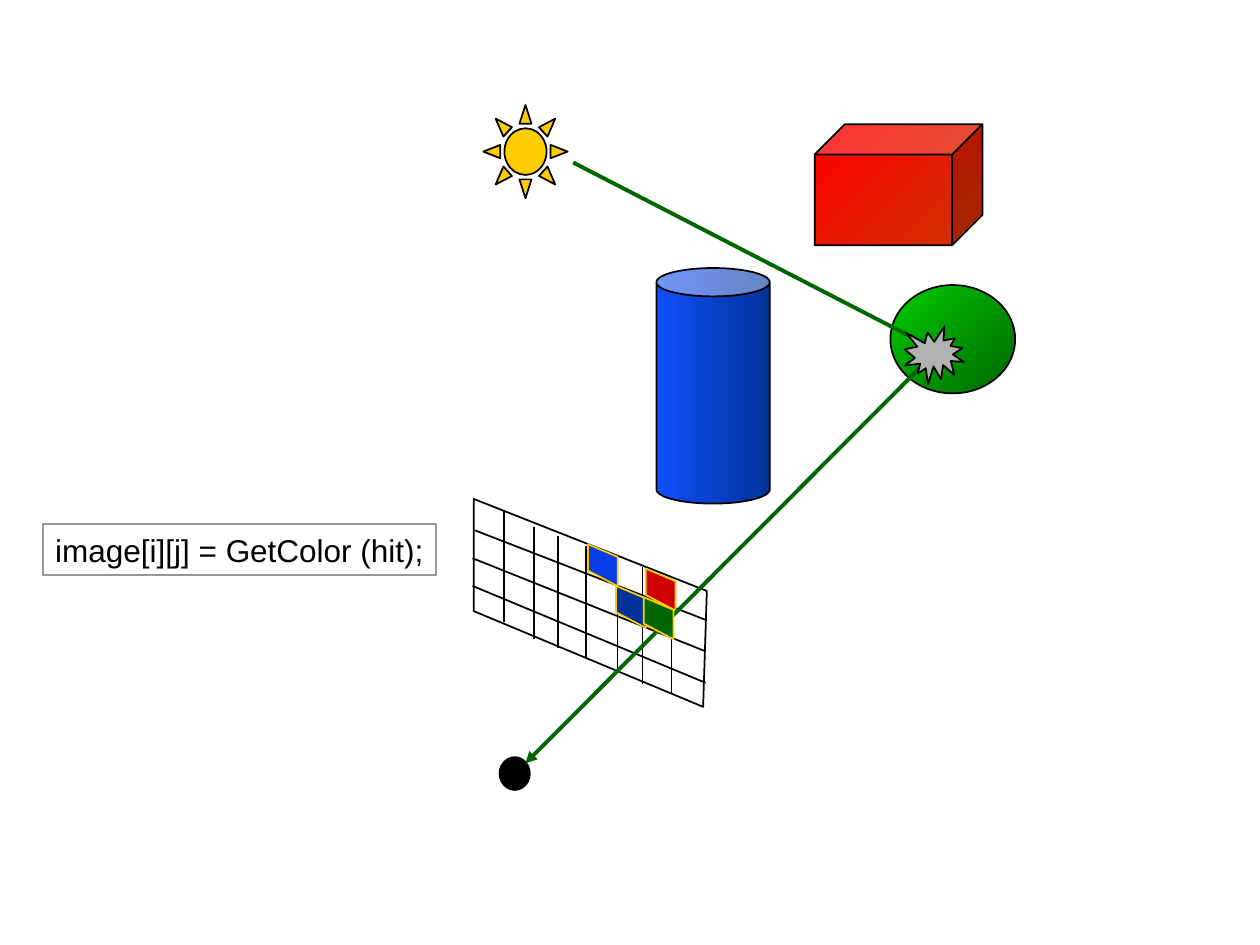
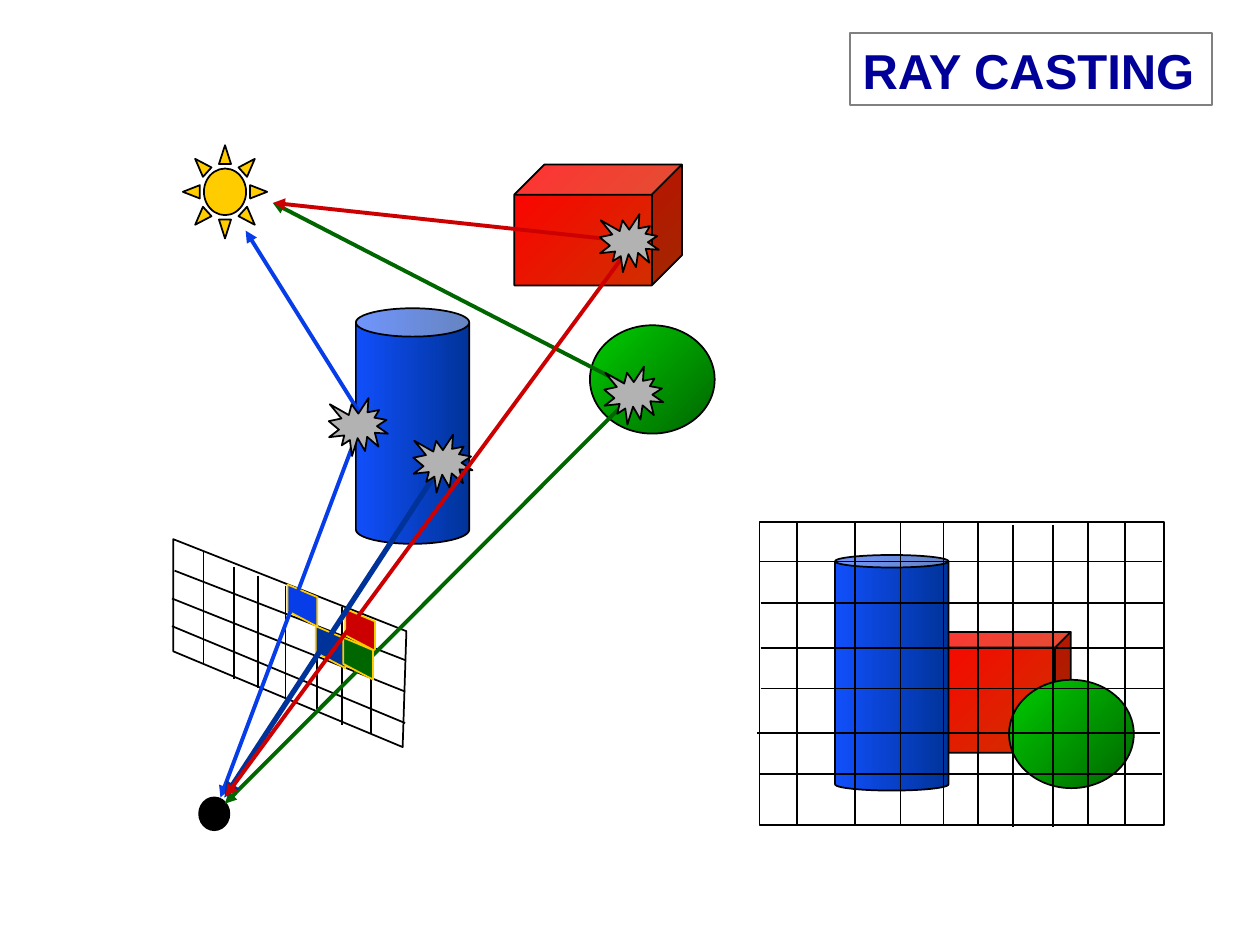
import pptx
import pptx.dml.color
import pptx.enum.shapes
import pptx.enum.text
import pptx.oxml
import pptx.oxml.ns
import pptx.util

Pt = pptx.util.Pt
FORM = pptx.enum.shapes.MSO_SHAPE

HUES = {
    "black": "000000",
    "navy": "003399",
    "azure": "114FFB",
    "blue": "063DE8",
    "rust": "CC3300",
    "scarlet": "FF0000",
    "red": "CC0000",
    "green": "006600",
    "lime": "00CC00",
    "gold": "FFCC00",
    "silver": "B2B2B2",
    "ash": "969696",
    "grey": "808080",
    "title": "000099",
}

KINDS = {
    "can": (FORM.CAN, 64.8, 134.6, ("navy", "azure"), 180),
    "cube": (FORM.CUBE, 95.8, 69.1, ("rust", "scarlet"), 225),
    "ball": (FORM.OVAL, 71.3, 61.9, ("green", "lime"), 225),
    "eye": (FORM.OVAL, 17.3, 18.7, ("black",), 0),
    "sun": (FORM.SUN, 48.2, 53.3, ("gold",), 0),
    "hit": (FORM.EXPLOSION1, 33.8, 33.1, ("silver",), 0),
}

FRAME = [(0.7, 225.1), (0.7, 289.2), (131.8, 343.9), (133.9, 277.7)]
PIXEL = [(0, 0), (17, 7.2), (17, 24), (0, 15.1)]
SCREEN_COLS = [
    (18, 232.3, 295.7), (35.3, 241, 305), (49, 246, 310.1),
    (64.8, 251.8, 315.8), (82.8, 258.2, 322.3),
    (97.2, 264, 331), (113.8, 271.2, 336.7),
]
SCREEN_ROWS = [(1.5, 243.1, 294.2), (0, 259, 312.2), (0, 274.8, 330.2)]
VIEW_COLS = [
    (21.6, 0), (54.7, 0), (80.6, 0), (105.1, 0), (124.7, 0),
    (144.7, 1.4), (167.8, 1.4), (187.9, 0), (208.8, 0),
]
VIEW_ROWS = [(0, 22.3), (0.7, 46.1), (0.7, 72), (0.7, 95), (-1.4, 120.2), (0, 144)]


def tint(name):
    return pptx.dml.color.RGBColor.from_string(HUES[name])


def stroke(item, hue="black", width=1, ends=()):
    item.line.color.rgb = tint(hue)
    item.line.width = Pt(width)
    edge = item.element.spPr.find(pptx.oxml.ns.qn("a:ln"))
    for end in ends:
        edge.append(pptx.oxml.parse_xml(
            f'<a:{end} {pptx.oxml.ns.nsdecls("a")} type="triangle"/>'))


def paint(item, hues, angle=0):
    item.shadow.inherit = False
    if not hues:
        item.fill.background()
    elif len(hues) == 1:
        item.fill.solid()
        item.fill.fore_color.rgb = tint(hues[0])
    else:
        item.fill.gradient()
        item.fill.gradient_angle = 360 - angle
        for stop, hue in zip(item.fill.gradient_stops, hues):
            stop.color.rgb = tint(hue)


def solid(slide, box, kind, x, y, adjust=None):
    form, width, height, hues, angle = KINDS[kind]
    item = slide.shapes.add_shape(
        form, Pt(box[0] + x), Pt(box[1] + y), Pt(width), Pt(height))
    paint(item, hues, angle)
    stroke(item)
    if adjust:
        item.adjustments[0] = adjust


def line(slide, box, start, stop, **style):
    item = slide.shapes.add_connector(
        pptx.enum.shapes.MSO_CONNECTOR.STRAIGHT,
        Pt(box[0] + start[0]), Pt(box[1] + start[1]),
        Pt(box[0] + stop[0]), Pt(box[1] + stop[1]))
    stroke(item, **style)
    item.element.spPr.append(pptx.oxml.parse_xml(
        f'<a:effectLst {pptx.oxml.ns.nsdecls("a")}/>'))


def outline(slide, box, points, fill=(), close=True, **style):
    spots = [(Pt(box[0] + x), Pt(box[1] + y)) for x, y in points]
    maker = slide.shapes.build_freeform(*spots[0])
    maker.add_line_segments(spots[1:], close=close)
    item = maker.convert_to_shape()
    paint(item, fill)
    stroke(item, **style)


def pixel(slide, box, hue, x, y):
    outline(slide, (box[0] + x, box[1] + y), PIXEL, (hue,), hue="gold")


def ray(slide, box, hue, points, ends):
    outline(slide, box, points, close=False, hue=hue, width=2.25, ends=ends)


def label(slide, box, text, edge, hue, font):
    item = slide.shapes.add_textbox(*map(Pt, box))
    stroke(item, edge)
    frame = item.text_frame
    layout = {
        "word_wrap": False,
        "auto_size": pptx.enum.text.MSO_AUTO_SIZE.NONE,
        "margin_left": Pt(7.2),
        "margin_right": Pt(0),
        "margin_top": Pt(4),
        "margin_bottom": Pt(0),
    }
    for key, value in layout.items():
        setattr(frame, key, value)
    lead = frame.paragraphs[0]
    lead.alignment = pptx.enum.text.PP_ALIGN.LEFT
    run = lead.add_run()
    run.text = text
    for key, value in {"name": "Arial", **font}.items():
        setattr(run.font, key, value)
    run.font.color.rgb = tint(hue)


def screen(slide, box):
    outline(slide, box, FRAME)
    for x, top, low in SCREEN_COLS:
        line(slide, box, (x, top), (x, low))
    for x, left, right in SCREEN_ROWS:
        line(slide, box, (x, left), (133.2, right))


def scene(slide, box, ends):
    screen(slide, box)
    solid(slide, box, "can", 105.1, 93.2)
    solid(slide, box, "cube", 195.6, 11)
    solid(slide, box, "ball", 238.8, 102.9)
    solid(slide, box, "eye", 15.5, 372.7)
    solid(slide, box, "sun", 6.2, 0)
    pixel(slide, box, "blue", 66, 251)
    pixel(slide, box, "navy", 82.1, 274.8)
    pixel(slide, box, "red", 99, 264.9)
    ray(slide, box, "green", [(30.2, 376.3), (265.7, 140.2), (57.6, 32.9)], ends)
    solid(slide, box, "hit", 247, 126.5)
    pixel(slide, box, "green", 97.9, 281.3)


def beams(slide, box, ends):
    ray(slide, box, "blue", [(27.7, 372.8), (109.1, 156), (42.1, 48.8)], ends)
    solid(slide, box, "hit", 89.6, 144.5)
    line(slide, box, (154.4, 182), (29.9, 372.8),
         hue="navy", width=3, ends=["tailEnd"])
    solid(slide, box, "hit", 137.9, 165.4)
    ray(slide, box, "red", [(30.6, 372), (263.9, 55.2), (57.9, 32.9)], ends)
    solid(slide, box, "hit", 244.4, 39.4)


def view(slide, box):
    width, height = box[2:]
    solid(slide, box, "cube", 82.1, 62.6, 0.13)
    solid(slide, box, "ball", 142.6, 90)
    solid(slide, box, "can", 43.2, 18.7, 0.11)
    pane = slide.shapes.add_shape(FORM.RECTANGLE, *map(Pt, box))
    paint(pane, ())
    stroke(pane)
    for x, y in VIEW_COLS:
        line(slide, box, (x, y), (x, y + height))
    for x, y in VIEW_ROWS:
        line(slide, box, (x, y), (x + width - 1, y))


def main():
    deck = pptx.Presentation()
    deck.slide_width, deck.slide_height = Pt(720), Pt(540)
    blank = deck.slide_layouts[6]

    first = deck.slides.add_slide(blank)
    scene(first, (270, 60), ["headEnd"])
    label(first, (24.5, 299.5, 224.8, 29), "image[i][j] = GetColor (hit);",
          "ash", "black", {"size": Pt(18)})

    second = deck.slides.add_slide(blank)
    both = ["headEnd", "tailEnd"]
    place = (98.3, 83)
    scene(second, place, both)
    beams(second, place, both)
    label(second, (485.8, 18.9, 206.8, 41.2), "RAY CASTING",
          "grey", "title", {"size": Pt(28), "bold": True})
    view(second, (434, 298.5, 231.1, 172.8))

    deck.save("out.pptx")


if __name__ == "__main__":
    main()
